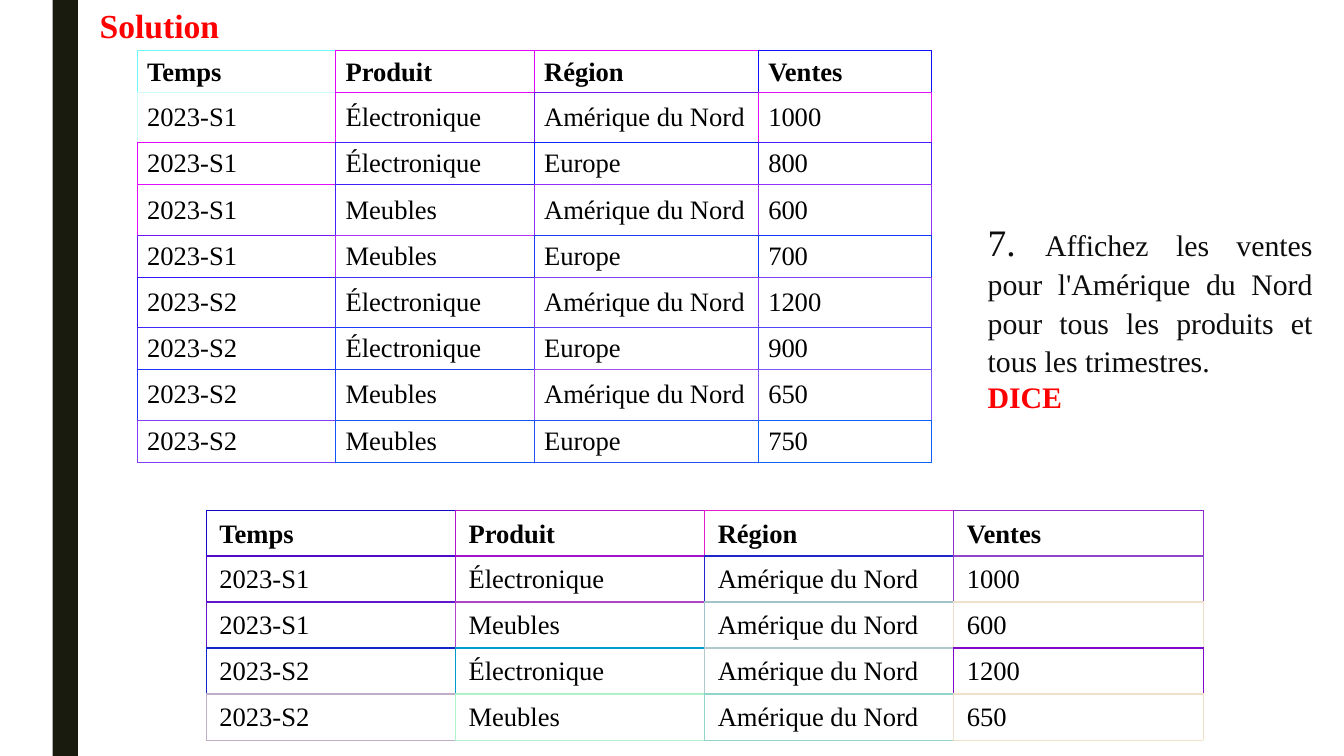
import pptx
import pptx.util
import pptx.dml.color
import pptx.enum.shapes
import pptx.enum.text
import pptx.oxml.ns
import lxml.etree

COLOURS = {
    "stripe": "191B0E",
    "accent": "FF0000",
    "question": "0D0D0D",
    "table text": "000000",
    "result fill": "FFFFFF",
    "sales edges": """
        70FAF9 E005FA E005FA 100FFA
        D0FAF9 E008FA 7015FA E011FA
        E008FA 4021FA 1024FA 501DFA
        E011FA 4021FA 902EFA 9031FA
        7015FA B02FFA 2038FA 1039FA
        3016FA 4033FA 803EFA 8041FA
        4027FA 2038FA 6043FA 5047FA
        2032FA 2041FA A04EFA 8056FA
        803EFA 1054FA 2050FA 1060FA""",
    "result edges": """
        1009CB B014CB E020CB 902BCB
        5008CB A012CB 2026CB 9043CB
        6016CB B044CB A0C4CA F0E0CA
        1024CB 009BCA B0C9CA 8008CB
        C0ADCA B0F3CA 90D4CA F0E0CA""",
}

deck = pptx.Presentation()
deck.slide_width = pptx.util.Inches(13.33)
deck.slide_height = pptx.util.Inches(7.5)
slide = deck.slides.add_slide(deck.slide_layouts[6])
column = deck.slide_width / 100
row = deck.slide_height / 100


def place(left, top, width, height):
    return int(left * column), int(top * row), int(width * column), int(height * row)


def write(paragraph, text, size=19, colour="table text", bold=False):
    run = paragraph.add_run()
    run.text = text
    run.font.name = "Times New Roman"
    run.font.size = pptx.util.Pt(size)
    run.font.bold = bold
    run.font.color.rgb = pptx.dml.color.RGBColor.from_string(COLOURS[colour])


stripe = slide.shapes.add_shape(
    pptx.enum.shapes.MSO_SHAPE.RECTANGLE, *place(3.92, 0, 1.88, 100))
stripe.shadow.inherit = False
stripe.fill.solid()
stripe.fill.fore_color.rgb = pptx.dml.color.RGBColor.from_string(COLOURS["stripe"])
stripe.line.fill.background()

heading = slide.shapes.add_textbox(*place(6.68, 0, 11.1, 6.67)).text_frame
heading.word_wrap = False
write(heading.paragraphs[0], "Solution", size=24, colour="accent", bold=True)

header = ("Temps", "Produit", "Région", "Ventes")
sales = [
    ("2023-S1", "Électronique", "Amérique du Nord", "1000"),
    ("2023-S1", "Électronique", "Europe", "800"),
    ("2023-S1", "Meubles", "Amérique du Nord", "600"),
    ("2023-S1", "Meubles", "Europe", "700"),
    ("2023-S2", "Électronique", "Amérique du Nord", "1200"),
    ("2023-S2", "Électronique", "Europe", "900"),
    ("2023-S2", "Meubles", "Amérique du Nord", "650"),
    ("2023-S2", "Meubles", "Europe", "750"),
]
north_america = [sale for sale in sales if sale[2] == "Amérique du Nord"]

grids = [
    ([header] + sales, 10.2, 6.67, [14.77, 14.77, 16.68, 12.87],
     [5.55] + [6.67, 5.55] * 4, 0.75, 0.67, "sales edges", None),
    ([header] + north_america, 15.35, 67.47, [18.54] * 4,
     [6.02] * 5, 0.98, 0.93, "result edges", "result fill"),
]

for records, left, top, widths, heights, inset_x, inset_y, edges, fill in grids:
    table = slide.shapes.add_table(
        len(heights), len(widths), *place(left, top, sum(widths), sum(heights))).table
    table.horz_banding = False
    for table_column, width in zip(table.columns, widths):
        table_column.width = int(width * column)
    for table_row, height in zip(table.rows, heights):
        table_row.height = int(height * row)

    edge = [line.split() for line in COLOURS[edges].strip().splitlines()]
    last_row, last_column = len(heights) - 1, len(widths) - 1
    for r, record in enumerate(records):
        for c, value in enumerate(record):
            cell = table.cell(r, c)
            cell.margin_left = cell.margin_right = int(inset_x * column)
            cell.margin_top = cell.margin_bottom = int(inset_y * row)
            cell.vertical_anchor = (pptx.enum.text.MSO_ANCHOR.MIDDLE if r
                                    else pptx.enum.text.MSO_ANCHOR.BOTTOM)
            write(cell.text_frame.paragraphs[0], value, bold=r == 0)

            borders = {
                "a:lnL": (edge[r][c], 0.75),
                "a:lnR": (edge[r][min(c + 1, last_column)], 0.75),
                "a:lnT": (edge[r][c], 1 if r else 0.75),
                "a:lnB": (edge[min(r + 1, last_row)][c], 1 if r < last_row else 0.75),
            }
            properties = cell._tc.get_or_add_tcPr()
            for side, (colour, weight) in borders.items():
                border = lxml.etree.SubElement(
                    properties, pptx.oxml.ns.qn(side), w=str(pptx.util.Pt(weight)))
                paint = lxml.etree.SubElement(border, pptx.oxml.ns.qn("a:solidFill"))
                lxml.etree.SubElement(paint, pptx.oxml.ns.qn("a:srgbClr"), val=colour)

            if fill:
                cell.fill.solid()
                cell.fill.fore_color.rgb = pptx.dml.color.RGBColor.from_string(COLOURS[fill])
            else:
                cell.fill.background()

question = slide.shapes.add_textbox(*place(72.75, 27.87, 25.65, 31.2)).text_frame
question.word_wrap = True
request = question.paragraphs[0]
request.line_spacing = 1.07
write(request, "7. ", size=26.7, colour="question")
write(request, "Affichez les ventes pour l'Amérique du Nord pour tous les produits "
      "et tous les trimestres.", size=21.3, colour="question")
operation = question.add_paragraph()
write(operation, "DICE", size=21.3, colour="accent", bold=True)
for paragraph in question.paragraphs:
    paragraph.alignment = pptx.enum.text.PP_ALIGN.JUSTIFY

deck.save("out.pptx")
